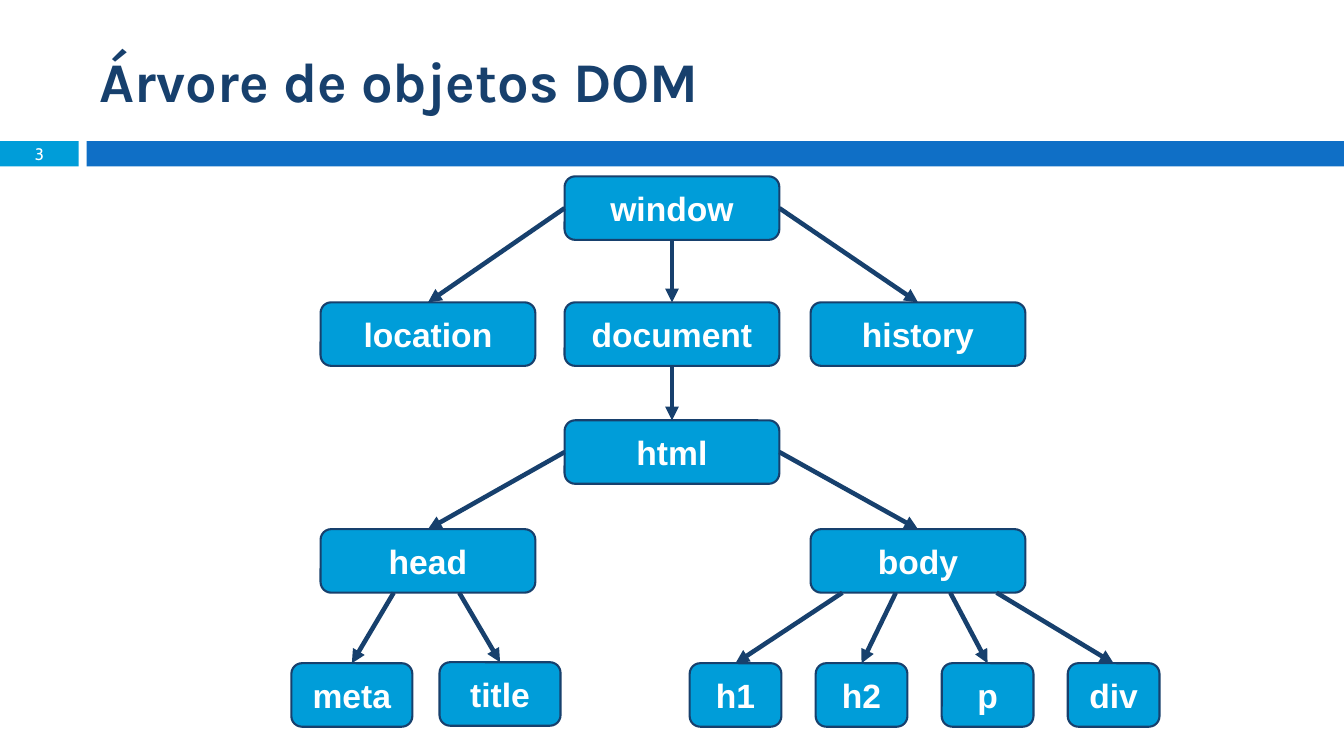
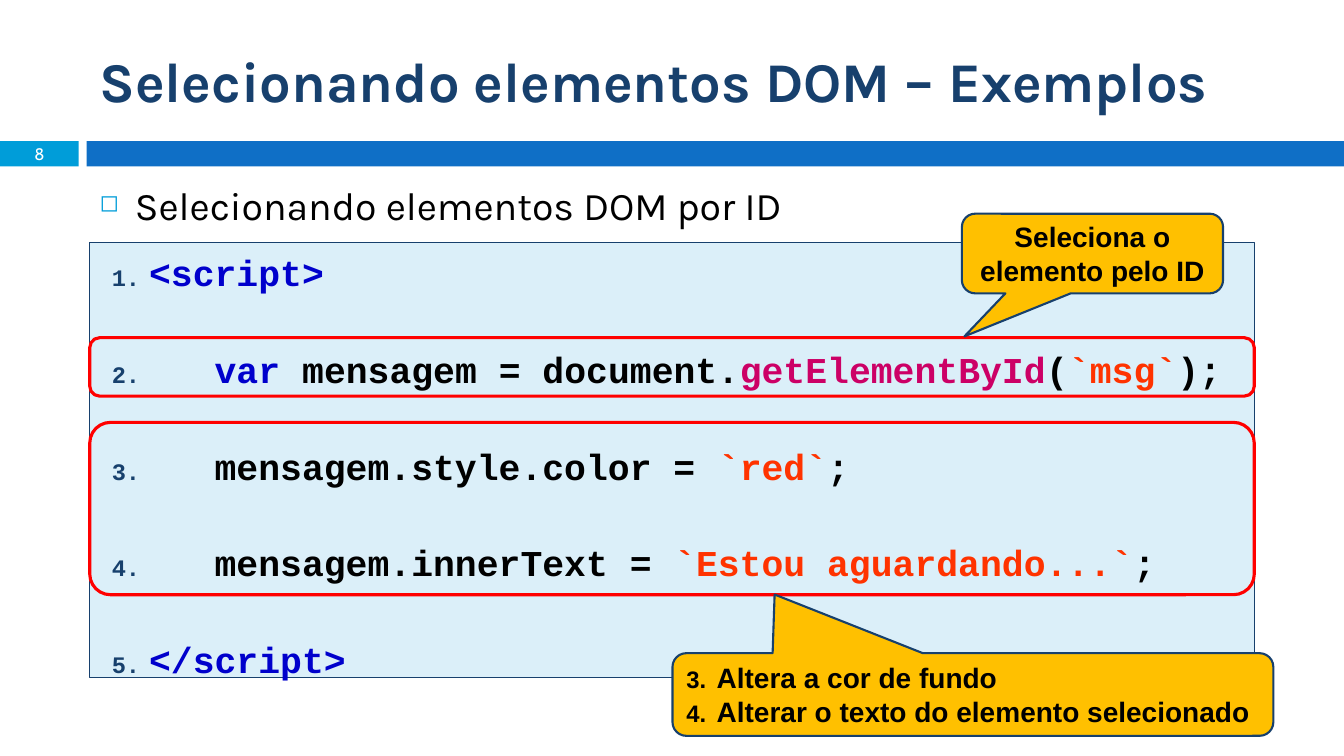
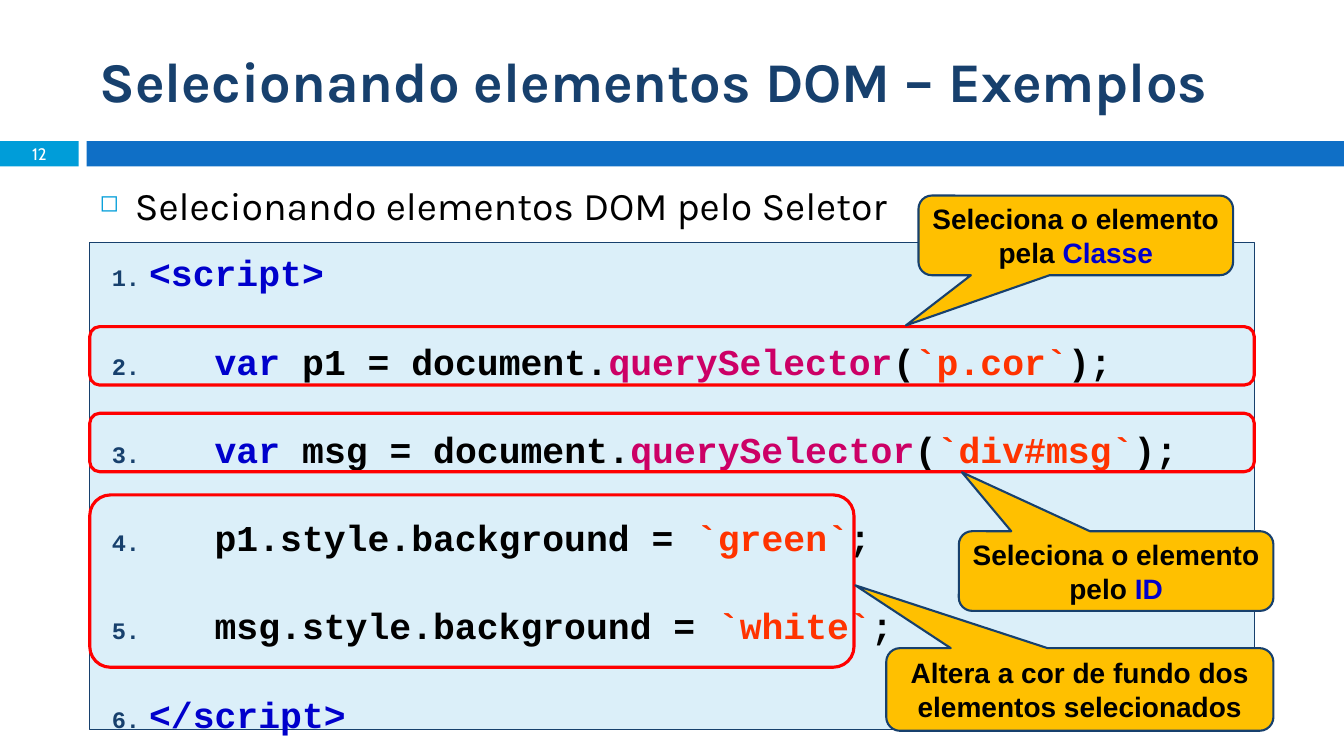
from lxml import etree
from pptx import Presentation
from pptx.dml.color import RGBColor
from pptx.enum.shapes import MSO_CONNECTOR, MSO_SHAPE
from pptx.enum.text import MSO_ANCHOR, PP_ALIGN
from pptx.oxml.ns import qn
from pptx.util import Inches, Pt

RECTANGLE = MSO_SHAPE.RECTANGLE
ROUNDED = MSO_SHAPE.ROUNDED_RECTANGLE
CALLOUT = MSO_SHAPE.ROUNDED_RECTANGULAR_CALLOUT
STRAIGHT = MSO_CONNECTOR.STRAIGHT
TOP, MIDDLE = MSO_ANCHOR.TOP, MSO_ANCHOR.MIDDLE
LEFT, CENTER = PP_ALIGN.LEFT, PP_ALIGN.CENTER
SITE_TOP, SITE_LEFT, SITE_BOTTOM, SITE_RIGHT = range(4)

NAVY = RGBColor(0x17, 0x40, 0x6D)
BLUE = RGBColor(0x0F, 0x6F, 0xC6)
CYAN = RGBColor(0x00, 0x9D, 0xD9)
PALE = RGBColor(0xDB, 0xEF, 0xF9)
AMBER = RGBColor(0xFF, 0xC0, 0x00)
RED = RGBColor(0xFF, 0x00, 0x00)
WHITE = RGBColor(0xFF, 0xFF, 0xFF)
BLACK = RGBColor(0x00, 0x00, 0x00)
KEYWORD = RGBColor(0x00, 0x00, 0xCC)
METHOD = RGBColor(0xCC, 0x00, 0x66)
STRING = RGBColor(0xFF, 0x33, 0x00)

TITLE_FONT, NUMBER_FONT = "Karla", "Cabin"
LABEL_FONT, CODE_FONT = "Arial", "Courier New"

SLIDE_WIDTH, SLIDE_HEIGHT = 13.33, 7.5
MARGIN = 0.89
BAND = (0, 1.4, SLIDE_WIDTH, 0.25)
TITLE_BOX = (MARGIN, 0.25, 11.89, 1.08)
TOPIC_BOX = (MARGIN, 1.75, 11.89, 0.65)
PANEL_LEFT, PANEL_TOP, PANEL_WIDTH = MARGIN, 2.41, 11.55
CODE_INDENT = 0.65


def inches(*lengths):
    return [Inches(length) for length in lengths]


def add_box(slide, kind, box, fill=None, line=None, width=1.5):
    shape = slide.shapes.add_shape(kind, *inches(*box))
    shape.shadow.inherit = False
    if fill is None:
        shape.fill.background()
    else:
        shape.fill.solid()
        shape.fill.fore_color.rgb = fill
    if line is None:
        shape.line.fill.background()
    else:
        shape.line.color.rgb = line
        shape.line.width = Pt(width)
    return shape


def write(shape, paragraphs, font, size, bold=False, align=LEFT, anchor=MIDDLE):
    frame = shape.text_frame
    frame.word_wrap = True
    frame.vertical_anchor = anchor
    for index, parts in enumerate(paragraphs):
        paragraph = frame.add_paragraph() if index else frame.paragraphs[0]
        paragraph.alignment = align
        for text, color in parts:
            run = paragraph.add_run()
            run.text = text
            run.font.name = font
            run.font.size = Pt(size)
            run.font.bold = bold
            run.font.color.rgb = color
    return frame.paragraphs


def set_bullet(paragraph, color, percent, margin, hanging, tag, **attributes):
    properties = paragraph._p.get_or_add_pPr()
    properties.set("marL", str(Inches(margin)))
    properties.set("indent", str(-Inches(hanging)))
    bullet_color = etree.SubElement(properties, qn("a:buClr"))
    etree.SubElement(bullet_color, qn("a:srgbClr"), val=str(color))
    etree.SubElement(properties, qn("a:buSzPct"), val=str(percent * 1000))
    etree.SubElement(properties, qn(tag), **attributes)


def add_frame(presentation, title, number):
    slide = presentation.slides.add_slide(presentation.slide_layouts[6])
    left, top, width, height = BAND
    number_width, gap = 0.78, 0.08
    number_box = add_box(slide, RECTANGLE, (left, top, number_width, height), CYAN)
    bar_left = left + number_width + gap
    add_box(slide, RECTANGLE, (bar_left, top, width - bar_left, height), BLUE)
    number_box.text_frame.margin_top = number_box.text_frame.margin_bottom = 0
    write(number_box, [[(number, WHITE)]], NUMBER_FONT, 11.9, align=CENTER)
    title_box = slide.shapes.add_textbox(*inches(*TITLE_BOX))
    write(title_box, [[(title, NAVY)]], TITLE_FONT, 40, bold=True)
    return slide


def add_arrow(slide, begin, target, site=None, offset=0):
    begin_x = begin.left + begin.width // 2 + Inches(offset)
    begin_y = begin.top + begin.height
    connector = slide.shapes.add_connector(STRAIGHT, begin_x, begin_y, target.left, target.top)
    if site is not None:
        connector.begin_connect(begin, site)
    connector.end_connect(target, SITE_TOP)
    connector.line.color.rgb = NAVY
    connector.line.width = Pt(3.25)
    properties = connector.element.spPr
    etree.SubElement(properties.find(qn("a:ln")), qn("a:tailEnd"), type="triangle")
    etree.SubElement(properties, qn("a:effectLst"))


def add_tree(slide, left, top):
    wide, medium, small, height = 2.13, 1.2, 0.91, 0.63
    columns = [0.29, 2.71, 5.15]
    rows = [0, 1.25, 2.42, 3.5, 4.83]
    layout = [
        ("window", columns[1], rows[0], wide),
        ("location", columns[0], rows[1], wide),
        ("document", columns[1], rows[1], wide),
        ("history", columns[2], rows[1], wide),
        ("html", columns[1], rows[2], wide),
        ("head", columns[0], rows[3], wide),
        ("body", columns[2], rows[3], wide),
        ("meta", 0, rows[4], medium),
        ("title", 1.47, rows[4] - 0.01, medium),
    ]
    layout += [(tag, 3.95 + 1.25 * index, rows[4], small)
               for index, tag in enumerate(["h1", "h2", "p", "div"])]
    nodes = {}
    for name, x, y, width in layout:
        node = add_box(slide, ROUNDED, (left + x, top + y, width, height), CYAN, NAVY)
        write(node, [[(name, WHITE)]], LABEL_FONT, 24, bold=True, align=CENTER)
        nodes[name] = node
    for parent, child, site in [
        ("window", "location", SITE_LEFT),
        ("window", "document", SITE_BOTTOM),
        ("window", "history", SITE_RIGHT),
        ("document", "html", SITE_BOTTOM),
        ("html", "head", SITE_LEFT),
        ("html", "body", SITE_RIGHT),
    ]:
        add_arrow(slide, nodes[parent], nodes[child], site)
    for parent, child, offset in [
        ("head", "meta", -0.34),
        ("head", "title", 0.31),
        ("body", "h1", -0.75),
        ("body", "h2", -0.22),
        ("body", "p", 0.32),
        ("body", "div", 0.78),
    ]:
        add_arrow(slide, nodes[parent], nodes[child], offset=offset)


def add_topic(slide, text):
    topic_box = slide.shapes.add_textbox(*inches(*TOPIC_BOX))
    paragraph = write(topic_box, [[(text, BLACK)]], TITLE_FONT, 28, anchor=TOP)[0]
    paragraph.space_before = Pt(7)
    set_bullet(paragraph, CYAN, 60, 0.35, 0.35, "a:buChar", char="◻")


def add_code(slide, box, statements, space_after):
    panel = add_box(slide, RECTANGLE, box, PALE, NAVY, 0.75)
    lines = [[("<script>", KEYWORD)], *statements, [("</script>", KEYWORD)]]
    paragraphs = write(panel, lines, CODE_FONT, 26, bold=True, anchor=TOP)
    for index, paragraph in enumerate(paragraphs):
        paragraph.line_spacing = 1.06
        paragraph.space_before = Pt(18)
        paragraph.space_after = Pt(space_after)
        indent = CODE_INDENT if 0 < index < len(lines) - 1 else 0
        set_bullet(paragraph, NAVY, 65, 0.49 + indent, 0.37 + indent,
                   "a:buAutoNum", type="arabicPeriod")


def add_highlight(slide, box, corner=0.17):
    highlight = add_box(slide, ROUNDED, box, line=RED, width=2.25)
    highlight.adjustments[0] = corner


def add_callout(slide, box, pointer, paragraphs, first_number=None):
    callout = add_box(slide, CALLOUT, box, AMBER, NAVY)
    callout.adjustments[0], callout.adjustments[1] = pointer
    numbered = first_number is not None
    align = LEFT if numbered else CENTER
    frame = callout.text_frame
    frame.margin_left = frame.margin_right = Inches(0.1 if numbered else 0.05)
    for paragraph in write(callout, paragraphs, LABEL_FONT, 20, bold=True, align=align):
        if numbered:
            set_bullet(paragraph, BLACK, 85, 0.3, 0.3, "a:buAutoNum",
                       type="arabicPeriod", startAt=str(first_number))


def add_example(presentation, number, topic, height, statements, space_after,
                highlights, callouts):
    slide = add_frame(presentation, "Selecionando elementos DOM – Exemplos", number)
    add_topic(slide, topic)
    add_code(slide, (PANEL_LEFT, PANEL_TOP, PANEL_WIDTH, height), statements, space_after)
    for offset, width, box_height, corner in highlights:
        add_highlight(slide, (PANEL_LEFT, PANEL_TOP + offset, width, box_height), corner)
    for (x, y, width, box_height), *content in callouts:
        add_callout(slide, (PANEL_LEFT + x, PANEL_TOP + y, width, box_height), *content)


def declaration(variable, method, selector):
    return [("var ", KEYWORD), (f"{variable} = document.", BLACK), (method, METHOD),
            ("(", BLACK), (selector, STRING), (");", BLACK)]


def assignment(target, value):
    return [(f"{target} = ", BLACK), (value, STRING), (";", BLACK)]


def main():
    presentation = Presentation()
    presentation.slide_width, presentation.slide_height = inches(SLIDE_WIDTH, SLIDE_HEIGHT)

    add_tree(add_frame(presentation, "Árvore de objetos DOM", "3"), 2.89, 1.75)

    add_example(
        presentation, "8", "Selecionando elementos DOM por ID", 4.31,
        [
            declaration("mensagem", "getElementById", "`msg`"),
            assignment("mensagem.style.color", "`red`"),
            assignment("mensagem.innerText", "`Estou aguardando...`"),
        ],
        18,
        [(0.94, PANEL_WIDTH, 0.58, 0.17), (1.78, PANEL_WIDTH, 1.71, 0.12)],
        [
            ((8.65, -0.29, 2.59, 0.79), (-0.49, 1.04),
             [[("Seleciona o elemento pelo ID", BLACK)]]),
            ((5.78, 4.07, 5.96, 0.82), (-0.33, -1.21),
             [[("Altera a cor de fundo", BLACK)],
              [("Alterar o texto do elemento selecionado", BLACK)]], 3),
        ],
    )

    add_example(
        presentation, "12", "Selecionando elementos DOM pelo Seletor", 4.83,
        [
            declaration("p1", "querySelector", "`p.cor`"),
            declaration("msg", "querySelector", "`div#msg`"),
            assignment("p1.style.background", "`green`"),
            assignment("msg.style.background", "`white`"),
        ],
        12,
        [(0.83, PANEL_WIDTH, 0.58, 0.17), (1.69, PANEL_WIDTH, 0.58, 0.17),
         (2.5, 7.58, 1.71, 0.12)],
        [
            ((8.22, -0.47, 3.12, 0.79), (-0.54, 1.13),
             [[("Seleciona o elemento pela ", BLACK), ("Classe", KEYWORD)]]),
            ((7.9, 4.02, 3.84, 0.82), (-0.58, -1.26),
             [[("Altera a cor de fundo dos elementos selecionados", BLACK)]]),
            ((8.62, 2.86, 3.12, 0.79), (-0.49, -1.24),
             [[("Seleciona o elemento pelo ", BLACK), ("ID", KEYWORD)]]),
        ],
    )

    presentation.save("out.pptx")


if __name__ == "__main__":
    main()
